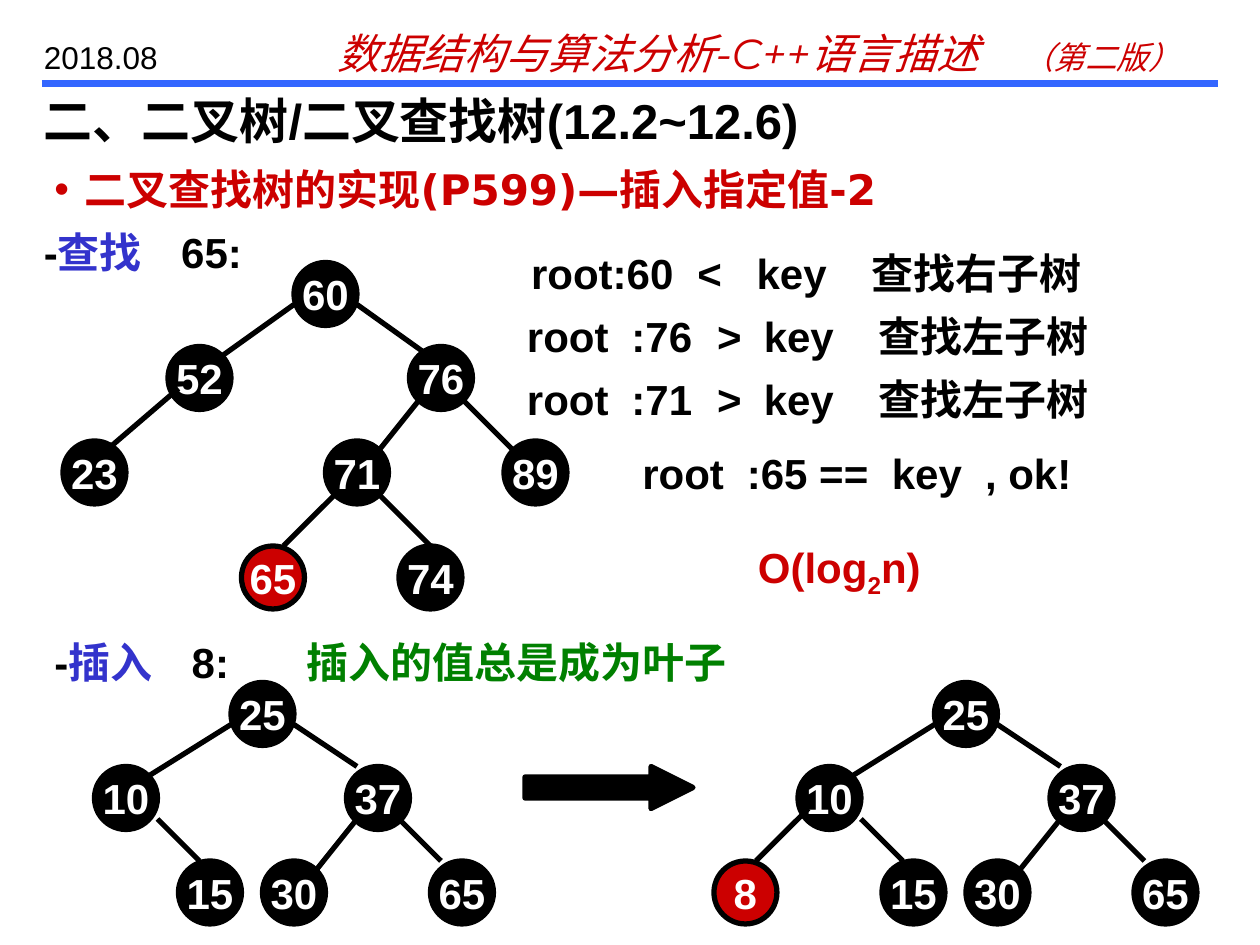
from dataclasses import dataclass

from lxml.etree import SubElement
from pptx import Presentation
from pptx.dml.color import RGBColor
from pptx.enum.shapes import MSO_CONNECTOR, MSO_SHAPE
from pptx.enum.text import MSO_ANCHOR, PP_ALIGN
from pptx.oxml.ns import qn
from pptx.util import Inches, Pt


@dataclass(frozen=True)
class Theme:
    black: str = "000000"
    white: str = "FFFFFF"
    red: str = "CC0000"
    blue: str = "3333CC"
    green: str = "008000"
    rule: str = "3366FF"
    font: str = "Arial"
    header_font: str = "Montserrat"
    topic_font: str = "DejaVu Sans"
    small: int = 18
    body: int = 24
    title: int = 28
    stroke: int = 3
    rule_stroke: int = 4


THEME = Theme()
COLUMNS, ROWS = 120, 90
NODE = 6

# Nodes are (value, column, row); edges are (column, row, column, row).
SEARCH_NODES = [(60, 28, 25), (52, 16, 33), (76, 39, 33), (23, 6, 42),
                (71, 31, 42), (89, 48, 42), (65, 23, 52), (74, 38, 52)]
SEARCH_EDGES = [(28, 29, 21, 34), (34, 29, 41, 34), (17, 37, 10, 43),
                (40, 38, 36, 43), (44, 38, 49, 43), (32, 47, 27, 52),
                (36, 47, 41, 52)]
INSERT_NODES = [(25, 22, 65), (10, 9, 73), (37, 33, 73),
                (15, 17, 82), (30, 25, 82), (65, 41, 82)]
INSERT_EDGES = [(22, 69, 14, 74), (28, 69, 34, 73), (15, 78, 19, 82),
                (34, 78, 30, 83), (38, 78, 42, 82)]
AFTER_SHIFT = 67
NEW_NODE = (8, 1, 82)
NEW_EDGE = (10, 77, 5, 82)


def grid(count):
    """Length of a number of grid cells, twelve to the inch."""
    return Inches(count / 12)


def colour(value):
    return RGBColor.from_string(value)


def set_stops(para, stops, bullet=None, indent=0):
    """Give a paragraph its bullet, hanging indent and tab stops (inches)."""
    properties = para._p.get_or_add_pPr()
    if bullet:
        properties.set("marL", str(Inches(indent)))
        properties.set("indent", str(-Inches(indent)))
        SubElement(SubElement(properties, qn("a:buClr")), qn("a:srgbClr"), val=THEME.red)
        SubElement(properties, qn("a:buFont"), typeface=THEME.font)
        SubElement(properties, qn("a:buChar"), char=bullet)
    if stops:
        tabs = SubElement(properties, qn("a:tabLst"))
        for stop in stops:
            SubElement(tabs, qn("a:tab"), pos=str(Inches(stop)), algn="l")


def add_span(para, text, size=THEME.body, color=THEME.black, font=THEME.font,
             bold=True, italic=False, baseline=None):
    span = para.add_run()
    span.text = text
    span.font.size = Pt(size)
    span.font.name = font
    span.font.bold = bold
    span.font.italic = italic
    span.font.color.rgb = colour(color)
    if baseline:
        span._r.get_or_add_rPr().set("baseline", str(baseline))


def add_text(slide, left, top, width, spans, stops=(), bullet=None, indent=0,
             height=6, **style):
    """Add a box; spans is a text, or a list of (text, own format) pairs."""
    box = slide.shapes.add_textbox(grid(left), grid(top), grid(width), grid(height))
    box.text_frame.word_wrap = True
    para = box.text_frame.paragraphs[0]
    set_stops(para, stops, bullet, indent)
    for text, own in [(spans, {})] if isinstance(spans, str) else spans:
        add_span(para, text, **{**style, **own})


def add_line(shapes, x1, y1, x2, y2, color=THEME.black, width=THEME.stroke):
    line = shapes.add_connector(MSO_CONNECTOR.STRAIGHT,
                                grid(x1), grid(y1), grid(x2), grid(y2))
    line.line.color.rgb = colour(color)
    line.line.width = Pt(width)
    SubElement(line._element.spPr, qn("a:effectLst"))


def add_solid(shapes, preset, left, top, width, height, fill=THEME.black):
    shape = shapes.add_shape(preset, grid(left), grid(top), grid(width), grid(height))
    shape.shadow.inherit = False
    shape.fill.solid()
    shape.fill.fore_color.rgb = colour(fill)
    shape.line.color.rgb = colour(THEME.black)
    shape.line.width = Pt(THEME.stroke)
    return shape


def add_node(shapes, value, left, top, fill):
    node = add_solid(shapes, MSO_SHAPE.OVAL, left, top, NODE, NODE, fill)
    frame = node.text_frame
    frame.word_wrap = False
    frame.vertical_anchor = MSO_ANCHOR.MIDDLE
    para = frame.paragraphs[0]
    para.alignment = PP_ALIGN.CENTER
    add_span(para, str(value), color=THEME.white)


def add_tree(slide, nodes, edges, marked=None, shift=0):
    """Add a grouped tree, moved right by shift, with one value in red."""
    shapes = slide.shapes.add_group_shape().shapes
    for value, left, top in nodes:
        fill = THEME.red if value == marked else THEME.black
        add_node(shapes, value, left + shift, top, fill)
    for x1, y1, x2, y2 in edges:
        add_line(shapes, x1 + shift, y1, x2 + shift, y2)


def add_header(slide):
    add_line(slide.shapes, 4, 8, COLUMNS - 4, 8, THEME.rule, THEME.rule_stroke)
    add_text(slide, 31, 2, 84,
             [("数据结构与算法分析-C++语言描述\t", {}), ("（第二版）", {"size": THEME.small})],
             stops=[5.43], font=THEME.header_font, color=THEME.red, bold=False, italic=True)
    add_text(slide, 3, 3, 17, "2018.08", size=THEME.small, bold=False, height=5)
    add_text(slide, 3, 8, 117, "二、二叉树/二叉查找树(12.2~12.6)", size=THEME.title)
    add_text(slide, 4, 15, 116, "二叉查找树的实现(P599)—插入指定值-2",
             bullet="•", indent=0.24, font=THEME.topic_font, color=THEME.red)


def add_operation(slide, left, top, name, value):
    add_text(slide, left, top, 24,
             [("-", {}), (f"{name}\t", {"color": THEME.blue}), (f"{value}:", {})],
             stops=[1.09])


def add_search(slide):
    add_operation(slide, 3, 21, "查找", 65)
    add_tree(slide, SEARCH_NODES, SEARCH_EDGES, marked=65)
    add_text(slide, 49.4, 23, 69, "root:60\t<\tkey\t查找右子树", stops=[1.32, 1.79, 2.7])
    for step, value in enumerate((76, 71)):
        add_text(slide, 49, 29 + 6 * step, 69, f"root\t:{value}\t>\tkey\t查找左子树",
                 stops=[0.83, 1.51, 1.88, 2.79])
    add_text(slide, 60, 42, 47, "root\t:65 ==\tkey\t, ok!", stops=[0.83, 1.98, 2.72])
    add_text(slide, 71, 51, 20, [("O(log", {}), ("2", {"baseline": -25000}), ("n)", {})],
             color=THEME.red)


def add_insertion(slide):
    add_operation(slide, 4, 60, "插入", 8)
    add_text(slide, 28, 60, 84, "插入的值总是成为叶子", color=THEME.green)
    add_tree(slide, INSERT_NODES, INSERT_EDGES)
    arrow = add_solid(slide.shapes, MSO_SHAPE.RIGHT_ARROW, 50, 73, 16, 4)
    arrow.adjustments[0], arrow.adjustments[1] = 0.5, 1
    add_tree(slide, INSERT_NODES + [NEW_NODE], INSERT_EDGES + [NEW_EDGE],
             marked=8, shift=AFTER_SHIFT)


def main():
    deck = Presentation()
    deck.slide_width, deck.slide_height = grid(COLUMNS), grid(ROWS)
    slide = deck.slides.add_slide(deck.slide_layouts[6])
    add_header(slide)
    add_search(slide)
    add_insertion(slide)
    deck.save("out.pptx")


if __name__ == "__main__":
    main()
